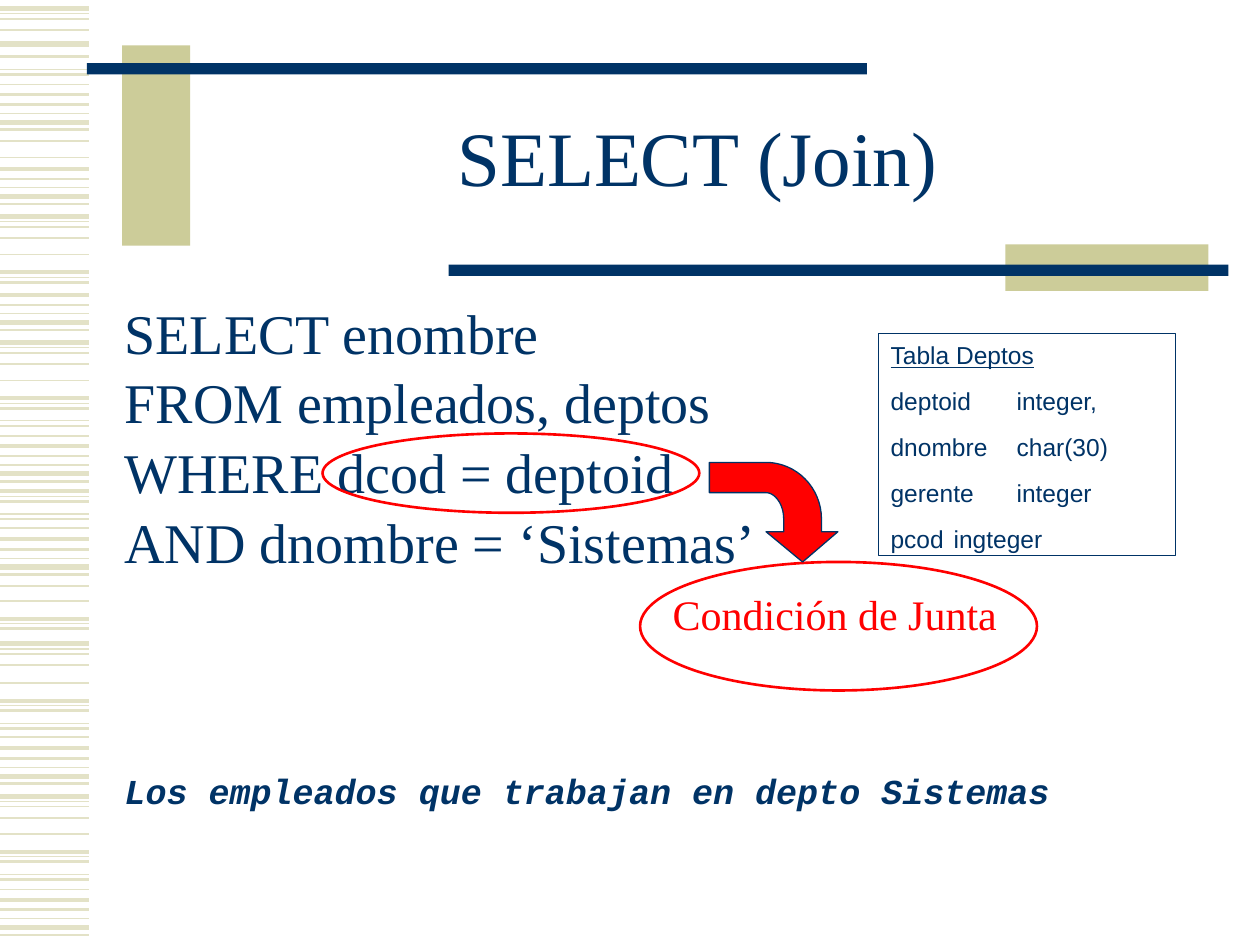
from lxml import etree
from pptx import Presentation
from pptx.dml.color import RGBColor
from pptx.enum.shapes import MSO_CONNECTOR, MSO_SHAPE
from pptx.enum.text import MSO_ANCHOR, PP_ALIGN
from pptx.oxml.ns import qn
from pptx.util import Inches, Pt

RECT, OVAL = MSO_SHAPE.RECTANGLE, MSO_SHAPE.OVAL
STRAIGHT = MSO_CONNECTOR.STRAIGHT
TOP, MIDDLE = MSO_ANCHOR.TOP, MSO_ANCHOR.MIDDLE
LEFT, CENTER = PP_ALIGN.LEFT, PP_ALIGN.CENTER
COLORS = {"navy": "003366", "khaki": "CCCC99", "stripe": "E3E2C7", "red": "FF0000"}
SERIF, SANS, MONO = "Times New Roman", "Arial", "Courier New"

STRIPE_GROUPS = [
    ([(0, 3), (0.04, 0.75), (0.08, 1), (0.17, 1)], [0.07, 1.72, 2.72, 5.11, 6.32]),
    ([(0, 2.25), (0.08, 1.5), (0.15, 0.75), (0.22, 3), (0.28, 1.5)],
     [0.75, 1.34, 2.34, 3.54, 4.28, 5.94, 7.14]),
    ([(0, 2.25), (0.04, 0.75), (0.08, 1.5)], [2.16, 3.16, 3.9, 4.91, 5.56, 6.76]),
    ([(0, 0.75), (0.04, 1.5)], [0.55, 3.34, 4.08, 5.74, 6.94]),
    ([(0, 1)], [0.67, 1.12, 1.25, 2.02, 3.02, 3.46, 4.19, 4.65, 4.77, 5.42, 5.85,
                6.62, 7.06]),
    ([(0, 1.5)], [0.45]),
    ([(0, 3)], [0.35]),
]
QUERY = ["SELECT enombre", "FROM empleados, deptos", "WHERE dcod = deptoid",
         "AND dnombre = ‘Sistemas’"]
DEPTOS = ["Tabla Deptos", "deptoid\tinteger,", "dnombre\tchar(30)",
          "gerente\tinteger", "pcod\tingteger"]


def rgb(name):
    """Return the named colour."""
    return RGBColor.from_string(COLORS[name])


def style(sp, fill=None, line=None, width=0.75):
    """Set the fill and outline of a shape and drop its shadow."""
    sp.shadow.inherit = False
    if fill:
        sp.fill.solid()
        sp.fill.fore_color.rgb = rgb(fill)
    else:
        sp.fill.background()
    if line:
        sp.line.color.rgb = rgb(line)
        sp.line.width = Pt(width)
    else:
        sp.line.fill.background()


def add_shape(s, kind, box, **look):
    """Add a styled preset shape in the box."""
    sp = s.shapes.add_shape(kind, *map(Inches, box))
    style(sp, **look)
    return sp


def write(sp, lines, font, size, color="navy", align=LEFT, anchor=TOP,
          spacing=1.0, before=0):
    """Fill a shape with evenly formatted paragraphs."""
    tf = sp.text_frame
    tf.word_wrap = True
    tf.vertical_anchor = anchor
    tf.text = "\n".join(lines)
    for i, p in enumerate(tf.paragraphs):
        p.alignment = align
        p.line_spacing = spacing
        p.space_before = Pt(before if i else 0)
        for r in p.runs:
            r.font.name = font
            r.font.size = Pt(size)
            r.font.color.rgb = rgb(color)
    return tf


def add_text(s, box, lines, font, size, **layout):
    """Add a text box in the box."""
    return write(s.shapes.add_textbox(*map(Inches, box)), lines, font, size, **layout)


def add_stripes(s, x, y, w):
    """Draw the striped margin from repeated groups of lines."""
    for pattern, starts in STRIPE_GROUPS:
        for start in starts:
            for offset, weight in pattern:
                level = Inches(y + start + offset)
                line = s.shapes.add_connector(STRAIGHT, Inches(x), level,
                                              Inches(x + w), level)
                line.line.color.rgb = rgb("stripe")
                line.line.width = Pt(weight)
                etree.SubElement(line._element.spPr, qn("a:effectLst"))


def add_header(s, x, y, w, h):
    """Draw the bars and the title."""
    for box, fill in [((x + 0.28, y, 0.54, 1.59), "khaki"),
                      ((x, y + 0.14, 6.19, 0.09), "navy"),
                      ((x + w - 1.77, y + h - 0.37, 1.61, 0.37), "khaki"),
                      ((x + w - 6.19, y + h - 0.21, 6.19, 0.09), "navy")]:
        add_shape(s, RECT, box, fill=fill)
    add_text(s, (x + 0.81, y + 0.31, 8.07, 1.25), ["SELECT (Join)"], SERIF, 44,
             align=CENTER, anchor=MIDDLE, spacing=0.85)


def add_query(s, x, y, w, h):
    """Write the query and its explanation."""
    add_text(s, (x, y, w, 2.3), QUERY, SERIF, 32, spacing=0.8, before=9.2)
    tf = add_text(s, (x, y + h - 0.6, w, 0.45),
                  ["Los empleados que trabajan en depto Sistemas"], MONO, 20)
    font = tf.paragraphs[0].runs[0].font
    font.bold = font.italic = True


def add_deptos(s, *box):
    """Draw the box that lists the columns of the table."""
    sp = add_shape(s, RECT, box, line="navy")
    tf = write(sp, DEPTOS, SANS, 14, before=9.4)
    tf.paragraphs[0].runs[0].font.underline = True


def curve(a, b, c, d, steps=16):
    """Return points along a cubic curve, after its first point."""
    ts = [i / steps for i in range(1, steps + 1)]
    return [tuple((1 - t) ** 3 * m + 3 * (1 - t) ** 2 * t * n
                  + 3 * (1 - t) * t ** 2 * o + t ** 3 * q
                  for m, n, o, q in zip(a, b, c, d)) for t in ts]


def add_arrow(s, x, y, w, h):
    """Draw the arrow that bends from right to down."""
    neck = h - 0.24
    points = [(0.74, h), (w, neck), (0.89, neck), (0.89, 0.45)]
    points += curve((0.89, 0.45), (0.89, 0.2), (0.69, 0), (0.45, 0))
    points += [(0, 0), (0, 0.24), (0.45, 0.24)]
    points += curve((0.45, 0.24), (0.52, 0.24), (0.59, 0.33), (0.59, 0.45))
    points += [(0.59, neck), (0.45, neck)]
    points = [(Inches(x + px), Inches(y + py)) for px, py in points]
    fb = s.shapes.build_freeform(*points[0])
    fb.add_line_segments(points[1:], close=True)
    style(fb.convert_to_shape(), fill="red", line="navy")


def add_join_note(s, x, y, w, h):
    """Circle the join condition and point to its name."""
    add_shape(s, OVAL, (x, y, 2.99, 0.63), line="red", width=1.5)
    add_shape(s, OVAL, (x + w - 3.15, y + h - 1.02, 3.15, 1.02), line="red", width=1.5)
    add_text(s, (x + w - 2.99, y + h - 0.86, 2.91, 0.5), ["Condición de Junta"],
             SERIF, 24, color="red")
    add_arrow(s, x + 3.07, y + 0.23, 1.02, 0.79)


def main():
    """Build and save the slide."""
    prs = Presentation()
    prs.slide_width, prs.slide_height = Inches(10), Inches(7.5)
    s = prs.slides.add_slide(prs.slide_layouts[6])
    add_stripes(s, 0, 0, 0.71)
    add_header(s, 0.69, 0.36, 9.06, 1.95)
    add_query(s, 0.89, 2.42, 8.7, 4.24)
    add_deptos(s, 6.97, 2.65, 2.36, 1.76)
    add_join_note(s, 2.56, 3.44, 5.67, 2.04)
    prs.save("out.pptx")


if __name__ == "__main__":
    main()
